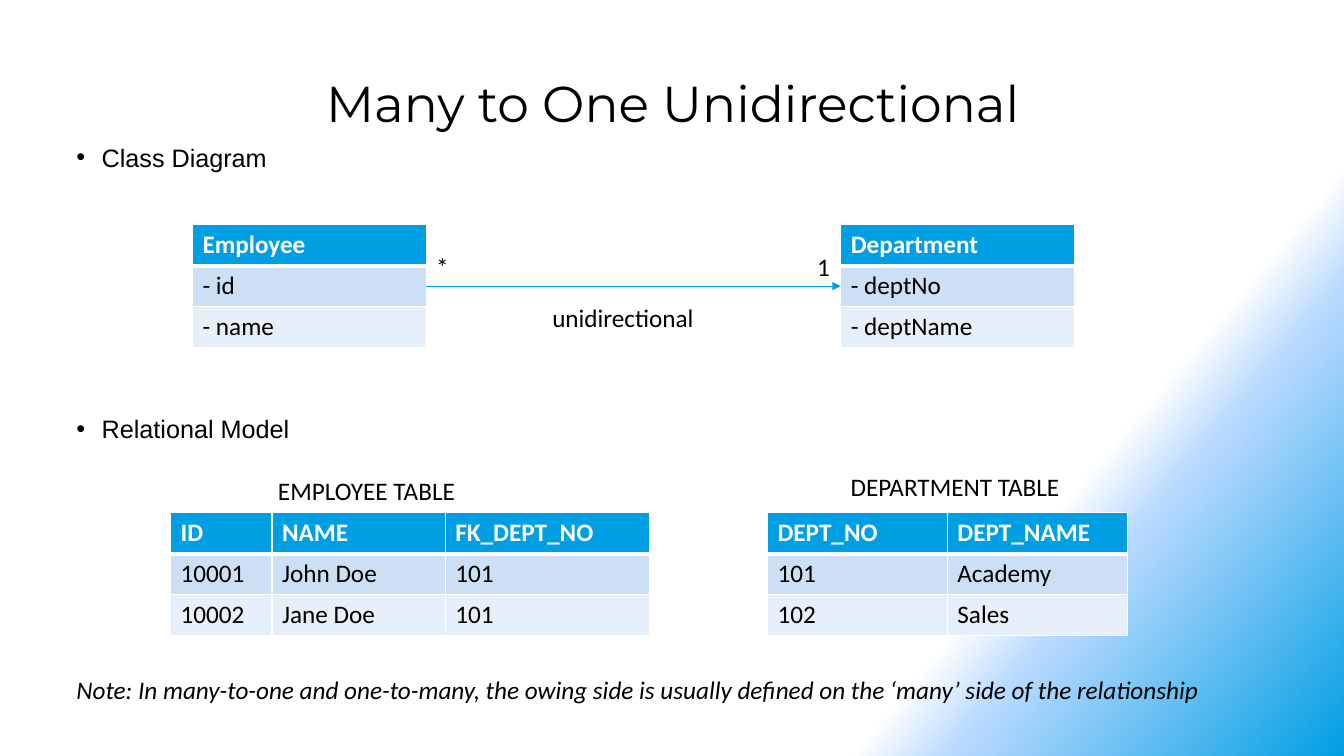
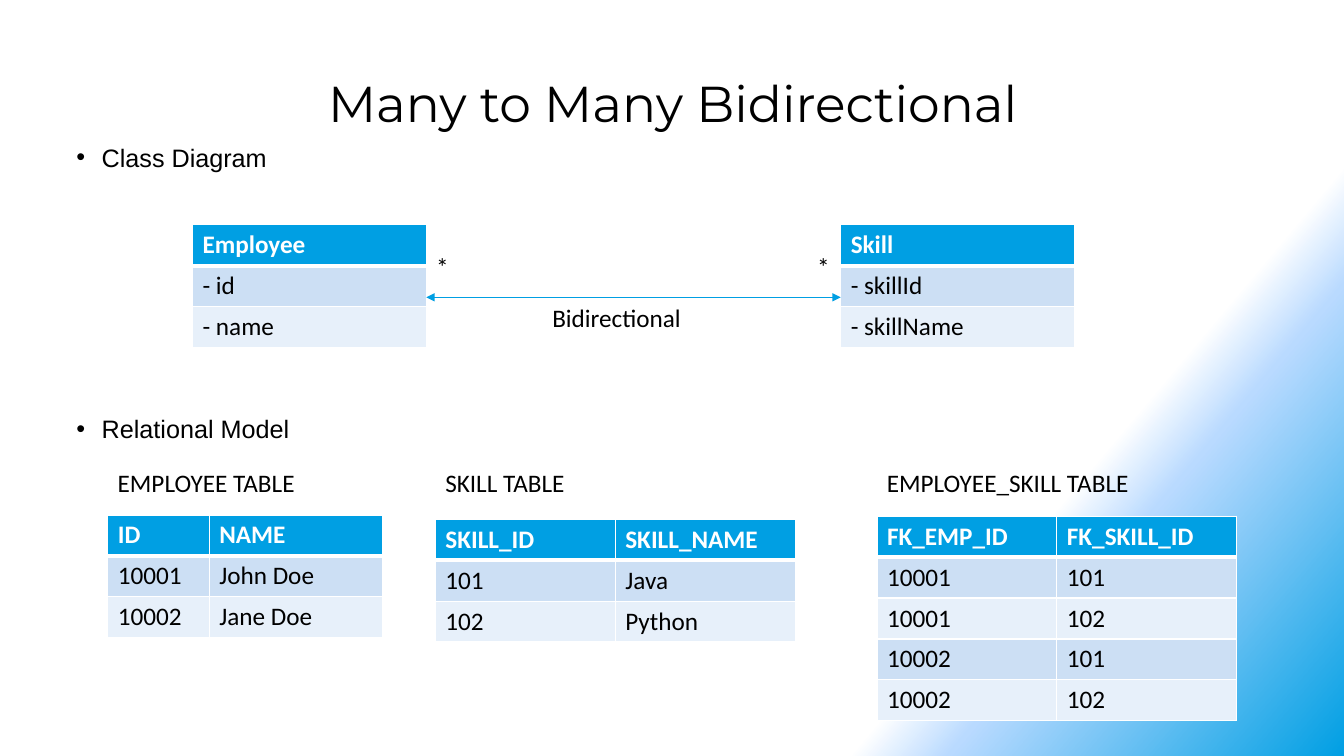
from dataclasses import dataclass

from lxml import etree
from pptx import Presentation
from pptx.dml.color import RGBColor
from pptx.enum import shapes, text
from pptx.oxml import parse_xml
from pptx.oxml.ns import nsdecls, qn
from pptx.util import Pt


@dataclass(frozen=True)
class Theme:
    accent: str = "009FE3"
    glow: str = "B9DAFF"
    odd_row: str = "CCDFF4"
    even_row: str = "E7F0FA"
    light: str = "FFFFFF"
    dark: str = "000000"
    title_font: str = "Montserrat"
    heading_font: str = "Arial"
    text_font: str = "Calibri"
    title_size: float = 36
    text_size: float = 18


THEME = Theme()
MARGIN = 47.5
CONTENT_WIDTH = 866
ROW_HEIGHT = 29.2
CLASS_TOP = 160.6
CLASS_WIDTH = 167
LEFT_CLASS, RIGHT_CLASS = 137.5, 600.5
MULTIPLICITY_WIDTH = 24
ID_WIDTH, NAME_WIDTH, KEY_WIDTH, WIDE_WIDTH = 72.5, 123.8, 146.2, 128.5


def set_font(paragraph, name=THEME.text_font, size=THEME.text_size,
             color=THEME.dark, bold=False, italic=False):
    font = paragraph.font
    font.name, font.size = name, Pt(size)
    font.bold, font.italic = bold, italic
    font.color.rgb = RGBColor.from_string(color)


def set_background(master):
    """Give every slide the diagonal fade into the accent colour."""
    master.background.fill.gradient()
    gradient = master.element.find(".//" + qn("p:bgPr")).find(qn("a:gradFill"))
    stops = ((75, THEME.light, 100), (80, THEME.glow, 50), (100, THEME.accent, 100))
    stop_xml = "".join(
        f'<a:gs pos="{position * 1000}"><a:srgbClr val="{color}">'
        f'<a:alpha val="{opacity * 1000}"/></a:srgbClr></a:gs>'
        for position, color, opacity in stops)
    gradient.replace(gradient.find(qn("a:gsLst")),
                     parse_xml(f'<a:gsLst {nsdecls("a")}>{stop_xml}</a:gsLst>'))
    direction = gradient.find(qn("a:lin"))
    direction.set("ang", str(40 * 60000))
    direction.set("scaled", "0")


def add_title(slide, wording):
    title = slide.shapes.title
    title.left, title.top = Pt(MARGIN), Pt(48)
    title.width, title.height = Pt(CONTENT_WIDTH), Pt(88)
    frame = title.text_frame
    frame.text = wording
    frame.vertical_anchor = text.MSO_ANCHOR.TOP
    frame.auto_size = text.MSO_AUTO_SIZE.NONE
    paragraph = frame.paragraphs[0]
    paragraph.alignment = text.PP_ALIGN.CENTER
    set_font(paragraph, THEME.title_font, THEME.title_size)


def add_text(slide, wording, left, top, width, **font):
    box = slide.shapes.add_textbox(Pt(left), Pt(top), Pt(width), Pt(ROW_HEIGHT))
    box.text_frame.word_wrap = True
    paragraph = box.text_frame.paragraphs[0]
    paragraph.text = wording
    set_font(paragraph, **font)
    return paragraph


def add_heading(slide, wording, top):
    paragraph = add_text(slide, wording, MARGIN, top, CONTENT_WIDTH,
                         name=THEME.heading_font)
    properties = paragraph._p.get_or_add_pPr()
    properties.set("marL", str(Pt(18)))
    properties.set("indent", str(-Pt(18)))
    etree.SubElement(properties, qn("a:buFont")).set("typeface", THEME.heading_font)
    etree.SubElement(properties, qn("a:buChar")).set("char", "•")


def set_borders(cell, top, bottom):
    properties = cell._tc.get_or_add_tcPr()
    widths = {"lnL": 1, "lnR": 1, "lnT": top, "lnB": bottom}
    for position, (side, width) in enumerate(widths.items()):
        properties.insert(position, parse_xml(
            f'<a:{side} {nsdecls("a")} w="{Pt(width)}"><a:solidFill>'
            f'<a:srgbClr val="{THEME.light}"/></a:solidFill></a:{side}>'))


def add_grid(slide, left, top, widths, rows):
    """Add a table whose first row is the header."""
    frame = slide.shapes.add_table(len(rows), len(widths), Pt(left), Pt(top),
                                   Pt(sum(widths)), Pt(ROW_HEIGHT * len(rows)))
    table = frame.table
    for column, width in zip(table.columns, widths):
        column.width = Pt(width)
    for row_index, values in enumerate(rows):
        header = row_index == 0
        banding = THEME.odd_row if row_index % 2 else THEME.even_row
        table.rows[row_index].height = Pt(ROW_HEIGHT)
        for column_index, value in enumerate(values):
            cell = table.cell(row_index, column_index)
            cell.text = value
            cell.fill.solid()
            cell.fill.fore_color.rgb = RGBColor.from_string(
                THEME.accent if header else banding)
            set_font(cell.text_frame.paragraphs[0], bold=header,
                     color=THEME.light if header else THEME.dark)
            set_borders(cell, top=3 if row_index == 1 else 1, bottom=3 if header else 1)
    return frame


def add_class(slide, left, name, *fields):
    rows = [[name]] + [[f"- {field}"] for field in fields]
    return add_grid(slide, left, CLASS_TOP, [CLASS_WIDTH], rows)


def add_arrow(slide, start, end, drop=0, both_ways=False):
    """Link two class boxes, at mid-height or a drop below it."""
    y = Pt(CLASS_TOP + 1.5 * ROW_HEIGHT + drop)
    arrow = slide.shapes.add_connector(shapes.MSO_CONNECTOR.STRAIGHT,
                                       start.left + start.width, y, end.left, y)
    if not drop:
        arrow.begin_connect(start, 3)
        arrow.end_connect(end, 1)
    arrow.line.color.rgb = RGBColor.from_string(THEME.accent)
    arrow.line.width = Pt(0.5)
    line = arrow.line._get_or_add_ln()
    for tag in ("a:headEnd", "a:tailEnd") if both_ways else ("a:tailEnd",):
        etree.SubElement(line, qn(tag)).set("type", "triangle")
    etree.SubElement(arrow._element.spPr, qn("a:effectLst"))


def add_class_diagram(slide, target, multiplicities, label, **arrow):
    add_heading(slide, "Class Diagram", 98)
    employee = add_class(slide, LEFT_CLASS, "Employee", "id", "name")
    other = add_class(slide, RIGHT_CLASS, *target)
    add_arrow(slide, employee, other, **arrow)
    places = (LEFT_CLASS + CLASS_WIDTH, RIGHT_CLASS - MULTIPLICITY_WIDTH)
    for multiplicity, left in zip(multiplicities, places):
        add_text(slide, multiplicity, left, 175.7, MULTIPLICITY_WIDTH)
    add_text(slide, label, 387.4, 212.4, 152)


def add_relation(slide, caption, caption_at, grid_at, widths, rows):
    add_text(slide, caption, *caption_at, 257)
    add_grid(slide, *grid_at, widths, rows)


def add_topic(presentation, title, diagram, relations):
    slide = presentation.slides.add_slide(presentation.slide_layouts[5])
    add_title(slide, title)
    add_class_diagram(slide, **diagram)
    add_heading(slide, "Relational Model", 292)
    for relation in relations:
        add_relation(slide, *relation)
    return slide


def main():
    presentation = Presentation()
    presentation.slide_width, presentation.slide_height = Pt(960), Pt(540)
    set_background(presentation.slide_master)

    many_to_one = add_topic(
        presentation, "Many to One Unidirectional",
        dict(target=("Department", "deptNo", "deptName"),
             multiplicities="*1", label="unidirectional"),
        [("EMPLOYEE TABLE", (191.5, 335.8), (121.8, 366.3),
          [ID_WIDTH, NAME_WIDTH, KEY_WIDTH],
          [["ID", "NAME", "FK_DEPT_NO"],
           ["10001", "John Doe", "101"],
           ["10002", "Jane Doe", "101"]]),
         ("DEPARTMENT TABLE", (RIGHT_CLASS, 333), (548.2, 366.3), [WIDE_WIDTH] * 2,
          [["DEPT_NO", "DEPT_NAME"], ["101", "Academy"], ["102", "Sales"]])])
    add_text(many_to_one,
             "Note: In many-to-one and one-to-many, the owing side is usually "
             "defined on the ‘many’ side of the relationship",
             MARGIN, 478, 886, italic=True)

    caption_top = 330.2
    employee_left, skill_left, link_left = 77, 311, 626.4
    add_topic(
        presentation, "Many to Many Bidirectional",
        dict(target=("Skill", "skillId", "skillName"), multiplicities="**",
             label="Bidirectional", drop=8, both_ways=True),
        [("EMPLOYEE TABLE", (employee_left, caption_top), (employee_left, 367.8),
          [ID_WIDTH, NAME_WIDTH],
          [["ID", "NAME"], ["10001", "John Doe"], ["10002", "Jane Doe"]]),
         ("SKILL TABLE", (skill_left, caption_top), (skill_left, 371), [WIDE_WIDTH] * 2,
          [["SKILL_ID", "SKILL_NAME"], ["101", "Java"], ["102", "Python"]]),
         ("EMPLOYEE_SKILL TABLE", (link_left, caption_top), (link_left, 368.8),
          [WIDE_WIDTH] * 2,
          [["FK_EMP_ID", "FK_SKILL_ID"],
           ["10001", "101"], ["10001", "102"],
           ["10002", "101"], ["10002", "102"]])])

    presentation.save("out.pptx")


if __name__ == "__main__":
    main()
